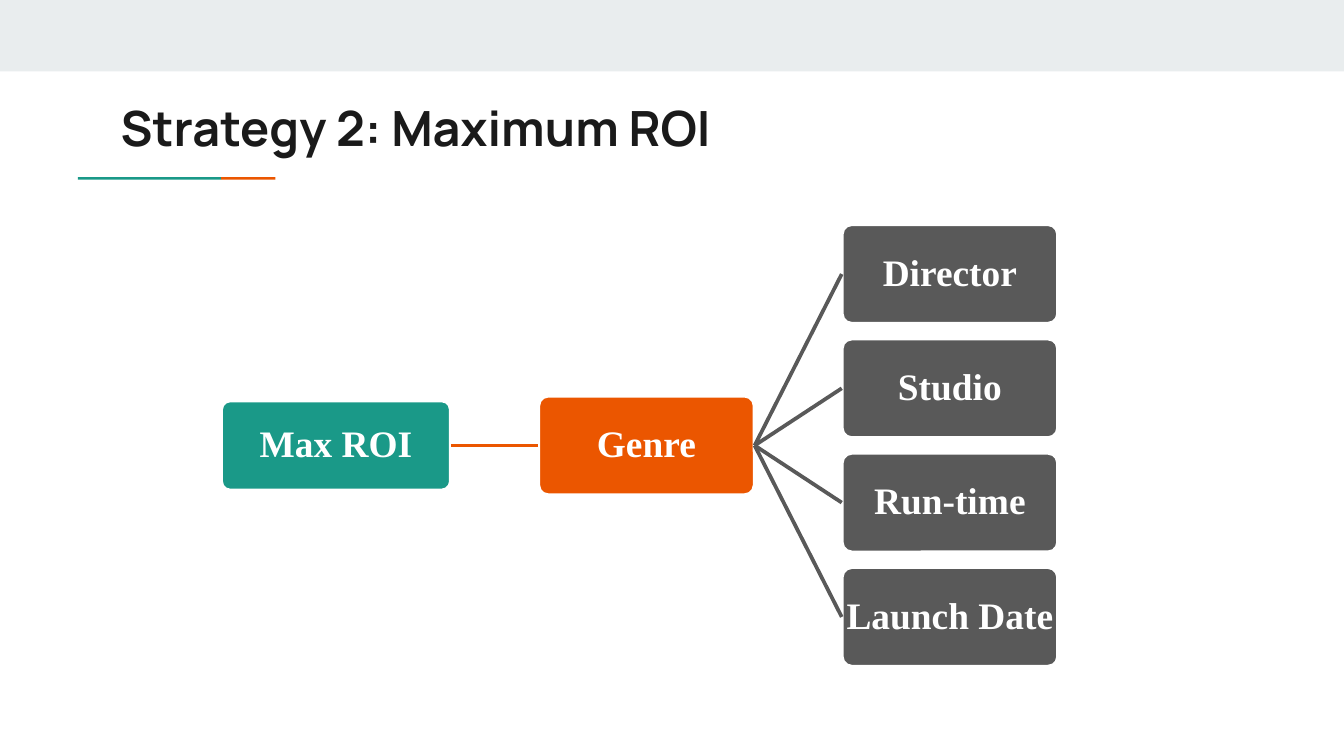
"""Build the ROI strategy slide: a goal, its genre and four deciding factors."""
from dataclasses import dataclass

from lxml import etree
from pptx import Presentation
from pptx.dml.color import RGBColor
from pptx.enum.shapes import MSO_CONNECTOR, MSO_SHAPE
from pptx.enum.text import MSO_ANCHOR, PP_ALIGN
from pptx.oxml.ns import qn
from pptx.shapes.autoshape import Shape
from pptx.slide import Slide
from pptx.util import Emu, Inches, Pt

RECTANGLE = MSO_SHAPE.RECTANGLE
ROUNDED = MSO_SHAPE.ROUNDED_RECTANGLE
STRAIGHT = MSO_CONNECTOR.STRAIGHT
CENTER = PP_ALIGN.CENTER
MIDDLE = MSO_ANCHOR.MIDDLE
LEFT_SIDE, RIGHT_SIDE = 1, 3
WIDTH = Inches(10)
HEIGHT = Emu(WIDTH * 9 // 16)


@dataclass(frozen=True)
class Theme:
    band: str = "E9EDEE"
    teal: str = "1A9988"
    orange: str = "EB5600"
    gray: str = "595959"
    white: str = "FFFFFF"
    ink: str = "1A1A1A"
    title_font: str = "Manrope"
    node_font: str = "Times New Roman"
    title_size: float = 26
    node_size: float = 20
    line_width: float = 2


@dataclass(frozen=True)
class Area:
    """Position and size in percent of the slide's width and height."""
    left: float
    top: float
    width: float
    height: float

    def emu(self) -> tuple[Emu, Emu, Emu, Emu]:
        return (Emu(int(WIDTH * self.left / 100)), Emu(int(HEIGHT * self.top / 100)),
                Emu(int(WIDTH * self.width / 100)), Emu(int(HEIGHT * self.height / 100)))


@dataclass(frozen=True)
class Node:
    label: str
    color: str
    left: float
    middle: float
    width: float = 16.1
    height: float = 13.17

    def area(self) -> Area:
        return Area(self.left, self.middle - self.height / 2, self.width, self.height)


THEME = Theme()
AXIS = 58.93
FACTOR_PITCH = 15.12
FACTORS = ("Director", "Studio", "Run-time", "Launch Date")
BARS = (
    (Area(0, 0, 100, 9.45), THEME.band),
    (Area(5.8, 23.42, 10.65, 0.36), THEME.teal),
    (Area(16.45, 23.42, 4.05, 0.36), THEME.orange),
)


def rgb(color: str) -> RGBColor:
    return RGBColor.from_string(color)


def write(shape: Shape, text: str, font: str, size: float, color: str, inset: float) -> None:
    frame = shape.text_frame
    frame.margin_left = frame.margin_right = Inches(inset)
    frame.margin_top = frame.margin_bottom = Inches(inset)
    run = frame.paragraphs[0].add_run()
    run.text = text
    run.font.name = font
    run.font.size = Pt(size)
    run.font.bold = True
    run.font.color.rgb = rgb(color)


def draw_bar(slide: Slide, area: Area, color: str) -> None:
    bar = slide.shapes.add_shape(RECTANGLE, *area.emu())
    bar.shadow.inherit = False
    bar.fill.solid()
    bar.fill.fore_color.rgb = rgb(color)
    bar.line.fill.background()


def draw_title(slide: Slide, text: str) -> None:
    title = slide.shapes.add_textbox(*Area(8, 11.25, 84.1, 10.5).emu())
    title.text_frame.word_wrap = True
    write(title, text, THEME.title_font, THEME.title_size, THEME.ink, 0.1)


def draw_node(slide: Slide, node: Node) -> Shape:
    box = slide.shapes.add_shape(ROUNDED, *node.area().emu())
    box.adjustments[0] = 0.1
    box.shadow.inherit = False
    box.fill.solid()
    box.fill.fore_color.rgb = rgb(node.color)
    box.line.color.rgb = rgb(THEME.white)
    box.line.width = Pt(THEME.line_width)
    write(box, node.label, THEME.node_font, THEME.node_size, THEME.white, 0.01)
    box.text_frame.word_wrap = False
    box.text_frame.vertical_anchor = MIDDLE
    paragraph = box.text_frame.paragraphs[0]
    paragraph.alignment = CENTER
    paragraph.line_spacing = 0.9
    return box


def link(slide: Slide, parent: Shape, child: Shape, color: str) -> None:
    branch = slide.shapes.add_connector(STRAIGHT, 0, 0, 0, 0)
    branch.begin_connect(parent, RIGHT_SIDE)
    branch.end_connect(child, LEFT_SIDE)
    branch.line.color.rgb = rgb(color)
    branch.line.width = Pt(THEME.line_width)
    etree.SubElement(branch._element.spPr, qn("a:effectLst"))


def main() -> None:
    deck = Presentation()
    deck.slide_width, deck.slide_height = WIDTH, HEIGHT
    slide = deck.slides.add_slide(deck.slide_layouts[6])
    for area, color in BARS:
        draw_bar(slide, area, color)
    draw_title(slide, "Strategy 2: Maximum ROI")

    goal = draw_node(slide, Node("Max ROI", THEME.teal, 16.45, AXIS, 17.1, 11.92))
    genre = draw_node(slide, Node("Genre", THEME.orange, 40.05, AXIS))
    link(slide, goal, genre, THEME.orange)
    first_middle = AXIS - FACTOR_PITCH * (len(FACTORS) - 1) / 2
    for row, label in enumerate(FACTORS):
        middle = first_middle + row * FACTOR_PITCH
        factor = draw_node(slide, Node(label, THEME.gray, 62.63, middle))
        link(slide, genre, factor, THEME.gray)
    deck.save("out.pptx")


if __name__ == "__main__":
    main()
